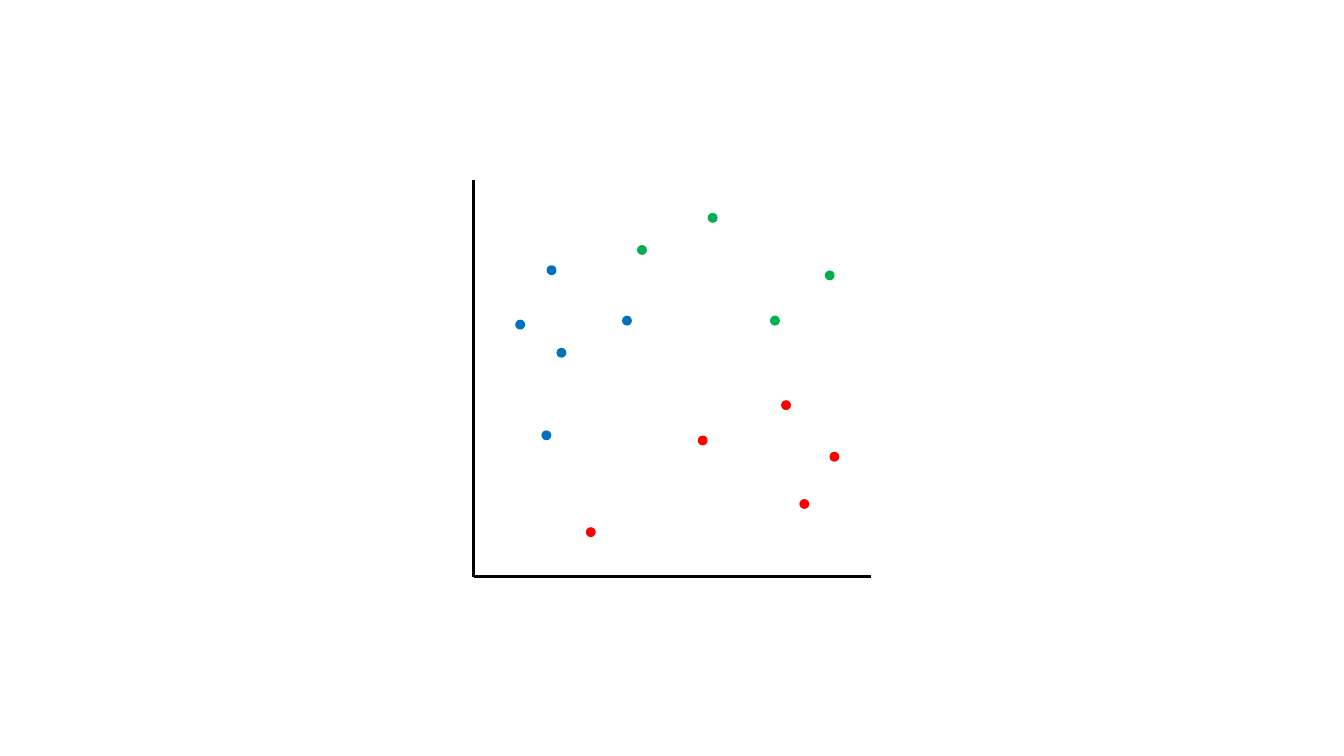
"""Build a slide with three colour-coded clusters of points on plain axes."""
from dataclasses import dataclass

from lxml import etree
from pptx import Presentation
from pptx import util as u
from pptx.dml.color import RGBColor
from pptx.enum import shapes
from pptx.oxml.ns import qn

CLUSTERS = {
    "blue": [(1.96, 7.72), (1.83, 3.56), (3.86, 6.45), (2.21, 5.64), (1.17, 6.35)],
    "red": [(8.33, 1.83), (9.09, 3.02), (7.87, 4.32), (2.95, 1.12), (5.77, 3.43)],
    "green": [(6.02, 9.04), (8.97, 7.59), (4.24, 8.23), (7.59, 6.45)],
}
AXIS_LENGTH = 10
AXES = [((0, AXIS_LENGTH), (0, 0)), ((0, 0), (AXIS_LENGTH, 0))]
ORIGIN_X, ORIGIN_Y = 11.94, 14.53
DOT_SIZE = 0.25


@dataclass(frozen=True)
class Theme:
    axis: str = "000000"
    blue: str = "0070C0"
    red: str = "FF0000"
    green: str = "00B050"
    axis_width: float = 2.25


THEME = Theme()


def place(x, y):
    return u.Cm(ORIGIN_X + x), u.Cm(ORIGIN_Y - y)


def draw_axis(group, start, end):
    axis = group.shapes.add_connector(
        shapes.MSO_CONNECTOR.STRAIGHT, *place(*start), *place(*end))
    axis.line.color.rgb = RGBColor.from_string(THEME.axis)
    axis.line.width = u.Pt(THEME.axis_width)
    etree.SubElement(axis.element.spPr, qn("a:effectLst"))


def draw_dot(slide, x, y, color):
    corner = place(x - DOT_SIZE / 2, y + DOT_SIZE / 2)
    dot = slide.shapes.add_shape(
        shapes.MSO_SHAPE.OVAL, *corner, u.Cm(DOT_SIZE), u.Cm(DOT_SIZE))
    dot.shadow.inherit = False
    dot.fill.solid()
    dot.fill.fore_color.rgb = RGBColor.from_string(color)
    dot.line.fill.background()


deck = Presentation()
deck.slide_width, deck.slide_height = u.Cm(33.87), u.Cm(19.05)
slide = deck.slides.add_slide(deck.slide_layouts[6])

axes = slide.shapes.add_group_shape()
for start, end in AXES:
    draw_axis(axes, start, end)

for cluster, points in CLUSTERS.items():
    for x, y in points:
        draw_dot(slide, x, y, getattr(THEME, cluster))

deck.save("out.pptx")
